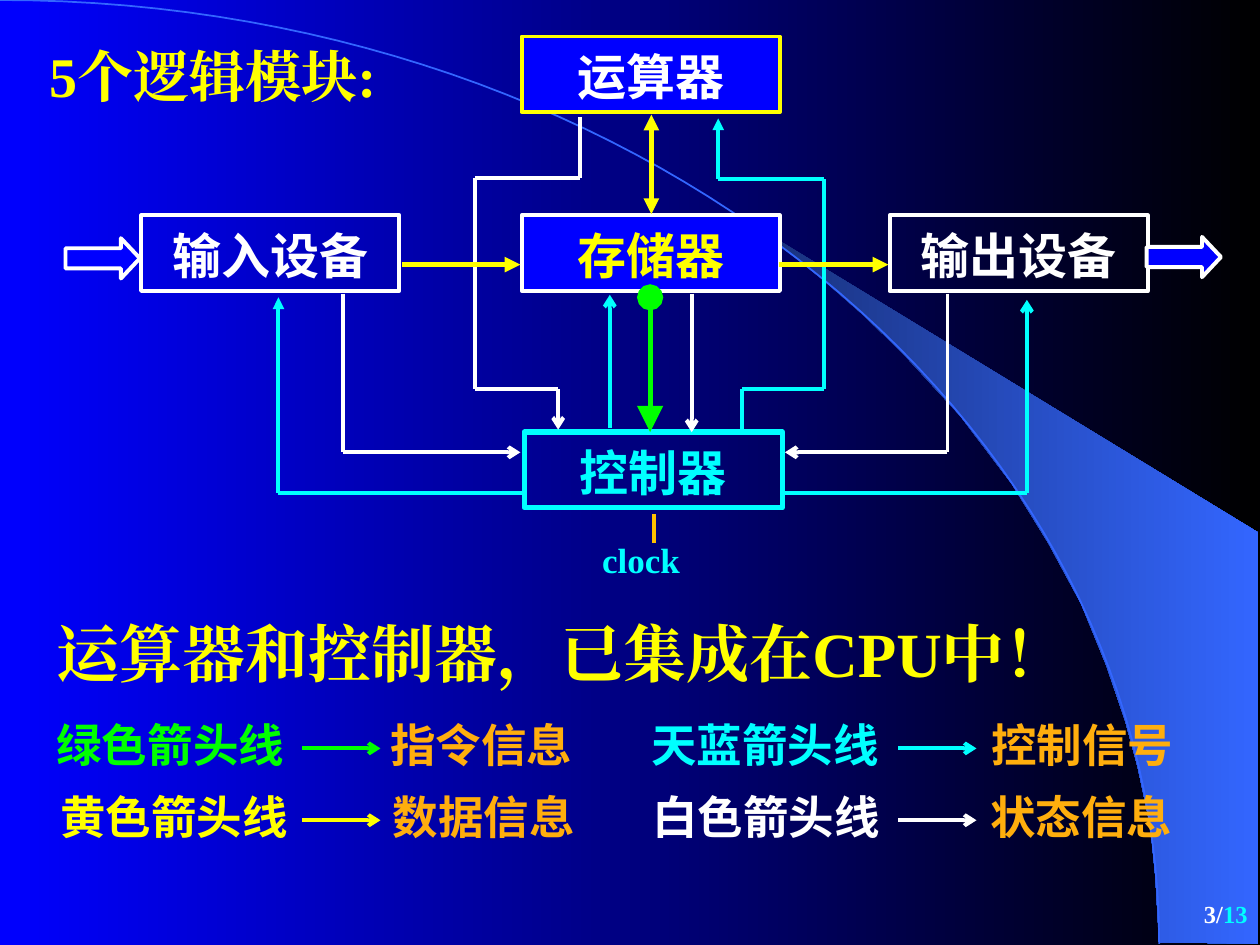
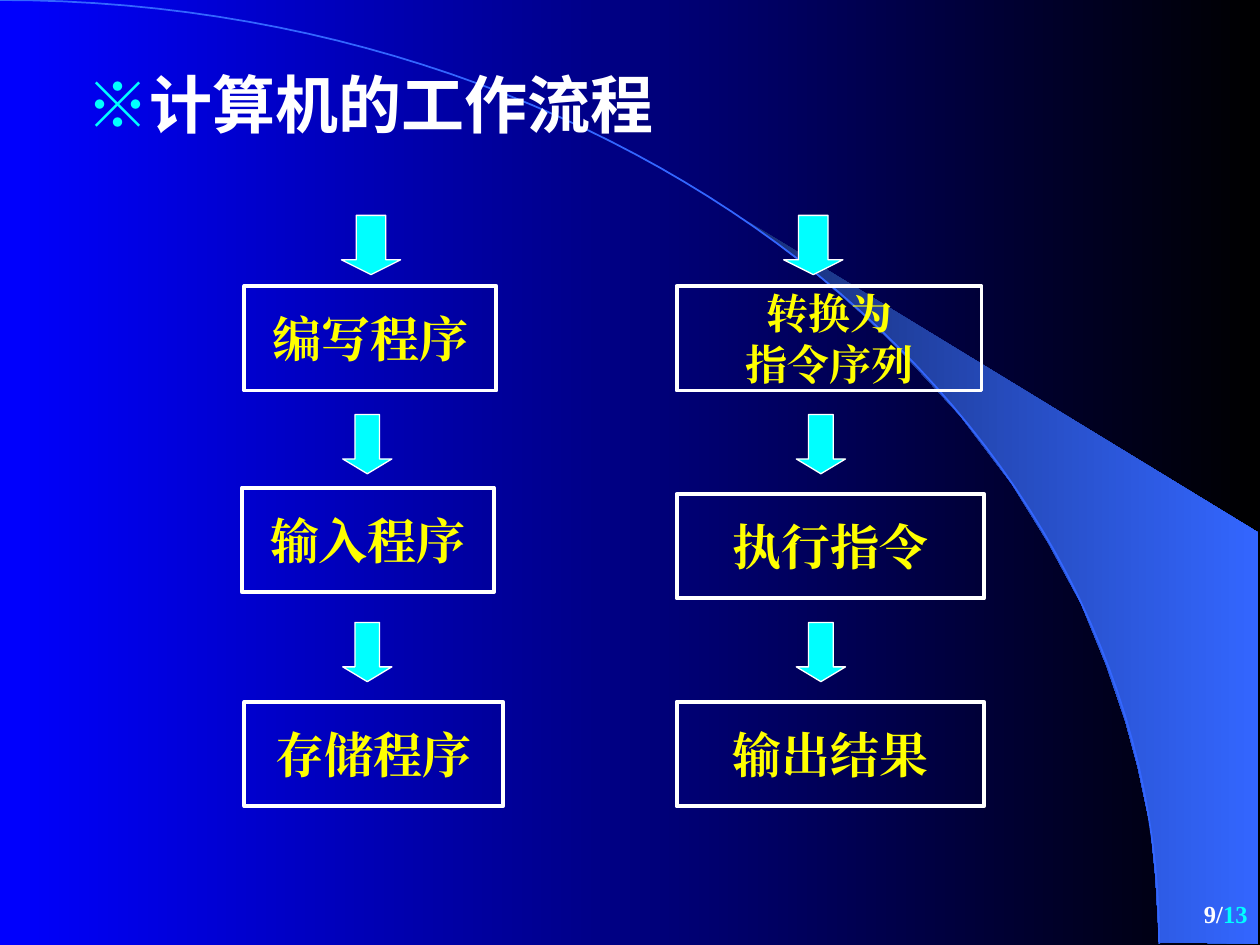
from itertools import pairwise

from lxml.etree import SubElement
from pptx import Presentation
from pptx.dml.color import RGBColor
from pptx.enum.lang import MSO_LANGUAGE_ID
from pptx.enum.shapes import MSO_CONNECTOR, MSO_SHAPE
from pptx.enum.text import MSO_ANCHOR, MSO_AUTO_SIZE, PP_ALIGN
from pptx.oxml.ns import qn
from pptx.util import Pt

PX = 9144
BLUE = RGBColor(0x00, 0x00, 0xFF)
BLACK = RGBColor(0x00, 0x00, 0x00)
WHITE = RGBColor(0xFF, 0xFF, 0xFF)
CYAN = RGBColor(0x00, 0xFF, 0xFF)
YELLOW = RGBColor(0xFF, 0xFF, 0x00)
GREEN = RGBColor(0x00, 0xFF, 0x00)
ORANGE = RGBColor(0xFF, 0xAE, 0x0D)
AMBER = RGBColor(0xFF, 0xC0, 0x00)
NAVY = RGBColor(0x18, 0x2F, 0x76)
SKY = RGBColor(0x33, 0x66, 0xFF)
SERIF = "Times New Roman"
SANS = "Arial"
HAN = "Noto Sans CJK SC"
LEFT, CENTER, RIGHT = PP_ALIGN.LEFT, PP_ALIGN.CENTER, PP_ALIGN.RIGHT
TOTAL = 13


def write(box, lines, size, font, align=LEFT, wrap=True):
    frame = box.text_frame
    frame_format = {
        "word_wrap": wrap,
        "auto_size": MSO_AUTO_SIZE.NONE,
        "vertical_anchor": MSO_ANCHOR.MIDDLE,
        "margin_left": 10 * PX,
        "margin_right": 10 * PX,
        "margin_top": 5 * PX,
        "margin_bottom": 5 * PX,
    }
    for name, value in frame_format.items():
        setattr(frame, name, value)
    for index, spans in enumerate(lines):
        para = frame.add_paragraph() if index else frame.paragraphs[0]
        para.alignment = align
        for text, color in spans:
            span = para.add_run()
            span.text = text
            span_format = {
                "size": Pt(size),
                "bold": True,
                "name": font,
                "language_id": MSO_LANGUAGE_ID.SIMPLIFIED_CHINESE,
            }
            for name, value in span_format.items():
                setattr(span.font, name, value)
            span.font.color.rgb = color
            SubElement(span.font._element, qn("a:ea"), typeface=font)


def draw_route(page, points, color, weight=2.25, head=None, tail=None, tip="med"):
    legs = list(pairwise(points))
    for index, (start, end) in enumerate(legs):
        ends = [value * PX for value in start + end]
        leg = page.shapes.add_connector(MSO_CONNECTOR.STRAIGHT, *ends)
        leg.line.color.rgb = color
        leg.line.width = Pt(weight)
        outline = leg.line._get_or_add_ln()
        if head and index == 0:
            SubElement(outline, qn("a:headEnd"), type=head, w=tip, len=tip)
        if tail and index == len(legs) - 1:
            SubElement(outline, qn("a:tailEnd"), type=tail, w=tip, len=tip)
        SubElement(leg.element.spPr, qn("a:effectLst"))


deck = Presentation()
deck.slide_width = 1000 * PX
deck.slide_height = 750 * PX
master = deck.slide_master
title_only = deck.slide_layouts[5]
modules_page = deck.slides.add_slide(title_only)
flow_page = deck.slides.add_slide(title_only)

beam_points = [
    (920, 748), (999, 749), (999, 423), (589, 173), (624, 199), (653, 222),
    (685, 250), (716, 280), (762, 330), (803, 384), (832, 431), (858, 479),
    (878, 528), (893, 572), (903, 609), (913, 656), (917, 696),
]
arc_points = []
for step in range(61):
    t = step / 60
    x = 3 * (1 - t) ** 2 * t * 0 + 3 * (1 - t) ** 2 * t * 508 + 3 * (1 - t) * t**2 * 920 + t**3 * 920
    y = 3 * (1 - t) * t**2 * 335 + t**3 * 749
    arc_points.append((x, y))

backdrop = []
for points, closed in [(beam_points, True), (arc_points, False)]:
    corners = [(x * PX, y * PX) for x, y in points]
    builder = modules_page.shapes.build_freeform(*corners[0], scale=1.0)
    builder.add_line_segments(corners[1:], close=closed)
    outline = builder.convert_to_shape()
    outline.shadow.inherit = False
    outline.element.nvSpPr.cNvPr.id = 101 + len(backdrop)
    backdrop.append(outline)
beam, arc = backdrop
beam.line.fill.background()
arc.fill.background()
arc.line.color.rgb = SKY
arc.line.width = Pt(1)

for fill, colors in [(master.background.fill, (BLUE, BLACK)), (beam.fill, (NAVY, SKY))]:
    fill.gradient()
    fill.gradient_angle = 0
    for stop, color in zip(fill.gradient_stops, colors):
        stop.color.rgb = color
for outline in backdrop:
    master.shapes.element.append(outline.element)

pages = [
    (modules_page, 3, (29, 28, 340, 64), 32, SERIF, [("5个逻辑模块:", YELLOW)]),
    (flow_page, 9, (59, 47, 512, 70), 36, HAN, [("※", CYAN), ("计算机的工作流程", WHITE)]),
]
for page, number, place, size, font, spans in pages:
    title = page.shapes.title
    for name, value in zip(("left", "top", "width", "height"), place):
        setattr(title, name, value * PX)
    write(title, [spans], size, font)
    footer = page.shapes.add_textbox(792 * PX, 700 * PX, 208 * PX, 50 * PX)
    write(footer, [[(f"{number}/", WHITE), (str(TOTAL), CYAN)]], 14, SERIF, RIGHT)

modules = [
    ("运算器", 414, 29, BLUE, YELLOW, 2.25, WHITE),
    ("控制器", 416, 343, None, CYAN, 3, CYAN),
    ("存储器", 414, 171, BLUE, WHITE, 2.25, YELLOW),
    ("输出设备", 706, 171, None, WHITE, 2.25, WHITE),
    ("输入设备", 112, 171, None, WHITE, 2.25, WHITE),
]
for name, left, top, fill, edge, weight, color in modules:
    box = modules_page.shapes.add_shape(
        MSO_SHAPE.RECTANGLE, left * PX, top * PX, 205 * PX, 60 * PX
    )
    box.shadow.inherit = False
    if fill is None:
        box.fill.background()
    else:
        box.fill.solid()
        box.fill.fore_color.rgb = fill
    box.line.color.rgb = edge
    box.line.width = Pt(weight)
    write(box, [[(name, color)]], 28, SANS, CENTER)
    box.text_frame.margin_top = 8 * PX

flow_boxes = [
    (194, 227, 200, 28, ["编写程序"]),
    (192, 387, 200, 28, ["输入程序"]),
    (194, 557, 205, 28, ["存储程序"]),
    (537, 227, 242, 24, ["转换为", "指令序列"]),
    (537, 392, 244, 28, ["执行指令"]),
    (537, 557, 244, 28, ["输出结果"]),
]
for left, top, width, size, lines in flow_boxes:
    box = flow_page.shapes.add_shape(
        MSO_SHAPE.RECTANGLE, left * PX, top * PX, width * PX, 83 * PX
    )
    box.shadow.inherit = False
    box.fill.background()
    box.line.color.rgb = WHITE
    box.line.width = Pt(2.25)
    write(box, [[(line, YELLOW)] for line in lines], size, SERIF, CENTER, False)

block_arrows = [
    (modules_page, MSO_SHAPE.RIGHT_ARROW, (910, 188, 59, 32), 0.47, BLUE, 2.25),
    (modules_page, MSO_SHAPE.RIGHT_ARROW, (52, 189, 59, 32), 0.47, BLUE, 2.25),
]
for first_left, next_left in [(271, 272), (622, 632)]:
    block_arrows.append(
        (flow_page, MSO_SHAPE.DOWN_ARROW, (first_left, 171, 47, 47), 0.25, CYAN, 0.75)
    )
    for top in (329, 494):
        block_arrows.append(
            (flow_page, MSO_SHAPE.DOWN_ARROW, (next_left, top, 39, 47), 0.3, CYAN, 0.75)
        )
for page, kind, place, tip_length, fill, weight in block_arrows:
    arrow = page.shapes.add_shape(kind, *[value * PX for value in place])
    arrow.shadow.inherit = False
    arrow.adjustments[1] = tip_length
    arrow.fill.solid()
    arrow.fill.fore_color.rgb = fill
    arrow.line.color.rgb = WHITE
    arrow.line.width = Pt(weight)

signal_routes = [
    (CYAN, "triangle", [(417, 391), (221, 391), (221, 236)]),
    (CYAN, "triangle", [(589, 343), (589, 309), (654, 309), (654, 142), (570, 142), (570, 94)]),
    (CYAN, "arrow", [(484, 340), (484, 234)]),
    (CYAN, "arrow", [(620, 391), (815, 391), (815, 238)]),
    (WHITE, "arrow", [(460, 93), (460, 141), (377, 141), (377, 309), (443, 309), (443, 341)]),
    (WHITE, "arrow", [(272, 233), (272, 359), (413, 359)]),
    (WHITE, "arrow", [(752, 233), (752, 359), (623, 359)]),
    (WHITE, "arrow", [(549, 233), (549, 343)]),
    (AMBER, None, [(519, 408), (519, 431)]),
]
for color, tail, points in signal_routes:
    draw_route(modules_page, points, color, tail=tail)
for points in [[(319, 210), (413, 210)], [(618, 210), (705, 210)]]:
    draw_route(modules_page, points, YELLOW, 3, tail="triangle")
draw_route(modules_page, [(517, 170), (517, 91)], YELLOW, 3, "triangle", "triangle")
draw_route(modules_page, [(516, 236), (516, 343)], GREEN, 3, "oval", "triangle", "lg")

notes = [
    ("运算器和控制器，已集成在CPU中！", (35, 483, 906, 70), 36, SERIF, YELLOW),
    ("clock", (468, 422, 98, 44), 20, SERIF, CYAN),
]
legend = [
    ("绿色箭头线", "指令信息", GREEN, 35, 240, 300, 564),
    ("黄色箭头线", "数据信息", YELLOW, 38, 240, 302, 621),
    ("天蓝箭头线", "控制信号", CYAN, 507, 713, 777, 564),
    ("白色箭头线", "状态信息", WHITE, 508, 713, 776, 621),
]
for label, meaning, color, label_left, arrow_left, meaning_left, top in legend:
    notes.append((label, (label_left, top, 241, 54), 26, HAN, color))
    notes.append((meaning, (meaning_left, top, 198, 54), 26, HAN, ORANGE))
    arrow_ends = [(arrow_left, top + 30), (arrow_left + 62, top + 30)]
    draw_route(modules_page, arrow_ends, color, tail="arrow")
for text, place, size, font, color in notes:
    box = modules_page.shapes.add_textbox(*[value * PX for value in place])
    write(box, [[(text, color)]], size, font)

deck.save("out.pptx")
